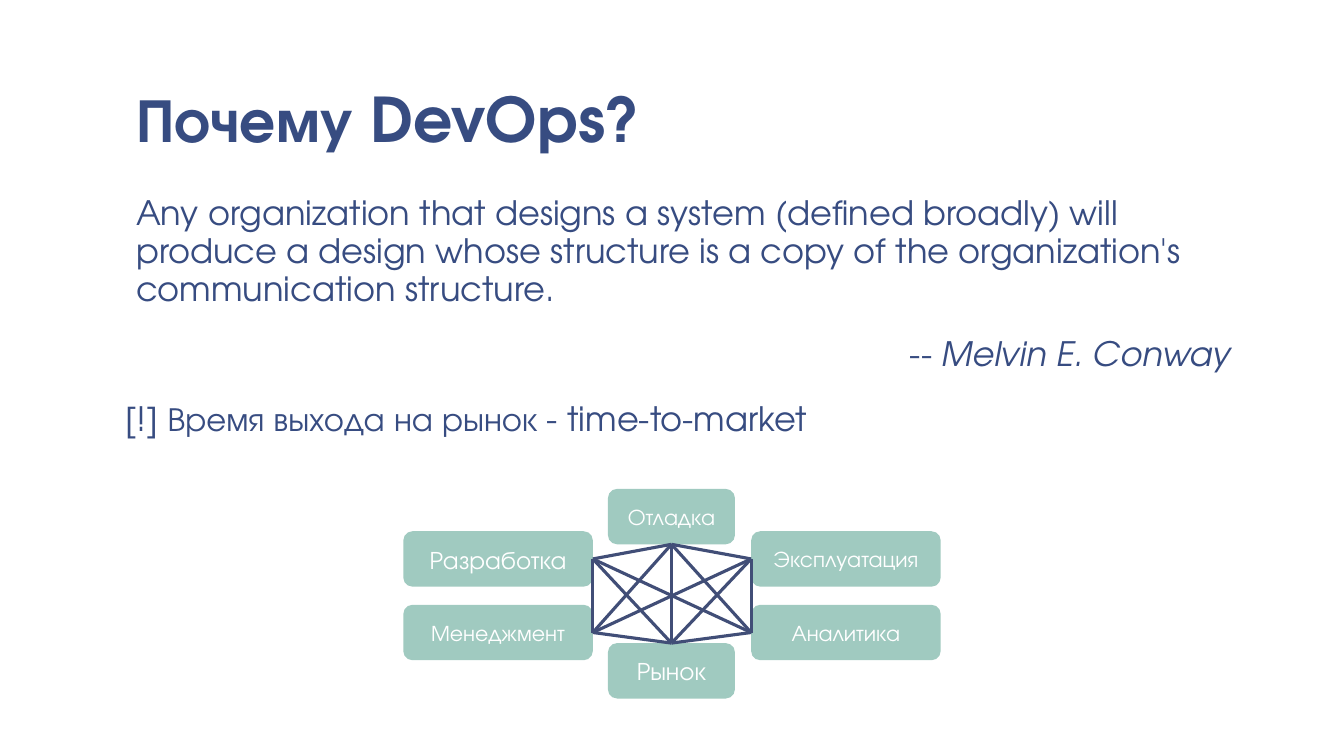
import itertools

import pptx
import pptx.dml.color
import pptx.enum.shapes
import pptx.enum.text
import pptx.oxml.ns
import pptx.util
from lxml import etree
from pptx.util import Inches

FONT = "TeX Gyre Adventor"
NAVY = pptx.dml.color.RGBColor(0x37, 0x4C, 0x81)
LINK = pptx.dml.color.RGBColor(0x41, 0x4E, 0x77)
MINT = pptx.dml.color.RGBColor(0xA0, 0xCA, 0xC0)
WHITE = pptx.dml.color.RGBColor(0xFF, 0xFF, 0xFF)
ALIGN = pptx.enum.text.PP_ALIGN
ANCHOR = pptx.enum.text.MSO_ANCHOR


def add_text(p, text, size=24, color=NAVY, bold=False, italic=False,
             align=ALIGN.LEFT, spacing=None, before=0):
    p.alignment = align
    p.line_spacing = spacing
    p.space_before = pptx.util.Pt(before)
    r = p.add_run()
    r.text = text
    r.font.name = FONT
    r.font.size = pptx.util.Pt(size)
    r.font.color.rgb = color
    r.font.bold = bold
    r.font.italic = italic


def add_box(left, top, width, height, anchor=ANCHOR.TOP):
    tf = s.shapes.add_textbox(Inches(left), Inches(top), Inches(width), Inches(height)).text_frame
    tf.word_wrap = True
    tf.vertical_anchor = anchor
    tf.margin_left = tf.margin_right = Inches(0.13)
    tf.margin_top = tf.margin_bottom = Inches(0.07)
    return tf


prs = pptx.Presentation()
prs.slide_width = Inches(13.33)
prs.slide_height = Inches(7.5)
s = prs.slides.add_slide(prs.slide_layouts[6])

tf = add_box(1.22, 0.08, 11.11, 1.53, ANCHOR.BOTTOM)
add_text(tf.paragraphs[0], "Почему DevOps?", size=44, bold=True, spacing=0.85)

tf = add_box(1.22, 1.86, 11.11, 2.05)
add_text(tf.paragraphs[0],
         "Any organization that designs a system (defined broadly) will produce a design "
         "whose structure is a copy of the organization's communication structure.",
         spacing=0.95)
p = tf.add_paragraph()
for text, italic in (("-- ", False), ("Melvin E. Conway", True)):
    add_text(p, text, italic=italic, align=ALIGN.RIGHT, spacing=0.95, before=18.7)

tf = add_box(1.11, 3.91, 11.11, 0.7)
add_text(tf.paragraphs[0], "[!] Время выхода на рынок - time-to-market", spacing=0.95)

TOP, LEFT, BOTTOM, RIGHT = range(4)
teams = [
    ("Рынок", 6.03, 6.38, 1.26, 18, TOP),
    ("Разработка", 4, 5.27, 1.88, 18, RIGHT),
    ("Менеджмент", 4, 6, 1.88, 16, RIGHT),
    ("Отладка", 6.03, 4.85, 1.26, 16, BOTTOM),
    ("Эксплуатация", 7.45, 5.27, 1.88, 16, LEFT),
    ("Аналитика", 7.45, 6, 1.88, 16, LEFT),
]
nodes = []
for name, left, top, width, size, side in teams:
    sp = s.shapes.add_shape(pptx.enum.shapes.MSO_SHAPE.ROUNDED_RECTANGLE,
                            Inches(left), Inches(top), Inches(width), Inches(0.55))
    sp.shadow.inherit = False
    sp.fill.solid()
    sp.fill.fore_color.rgb = MINT
    sp.line.fill.background()
    tf = sp.text_frame
    tf.word_wrap = True
    tf.vertical_anchor = ANCHOR.MIDDLE
    add_text(tf.paragraphs[0], name, size=size, color=WHITE, align=ALIGN.CENTER)
    nodes.append((sp, side))

for (start, start_side), (end, end_side) in itertools.combinations(nodes, 2):
    if start.top == end.top:
        continue
    link = s.shapes.add_connector(pptx.enum.shapes.MSO_CONNECTOR.STRAIGHT, 0, 0, 0, 0)
    link.begin_connect(start, start_side)
    link.end_connect(end, end_side)
    link.line.color.rgb = LINK
    link.line.width = pptx.util.Pt(2.25)
    etree.SubElement(link._element.spPr, pptx.oxml.ns.qn("a:effectLst"))

prs.save("out.pptx")
